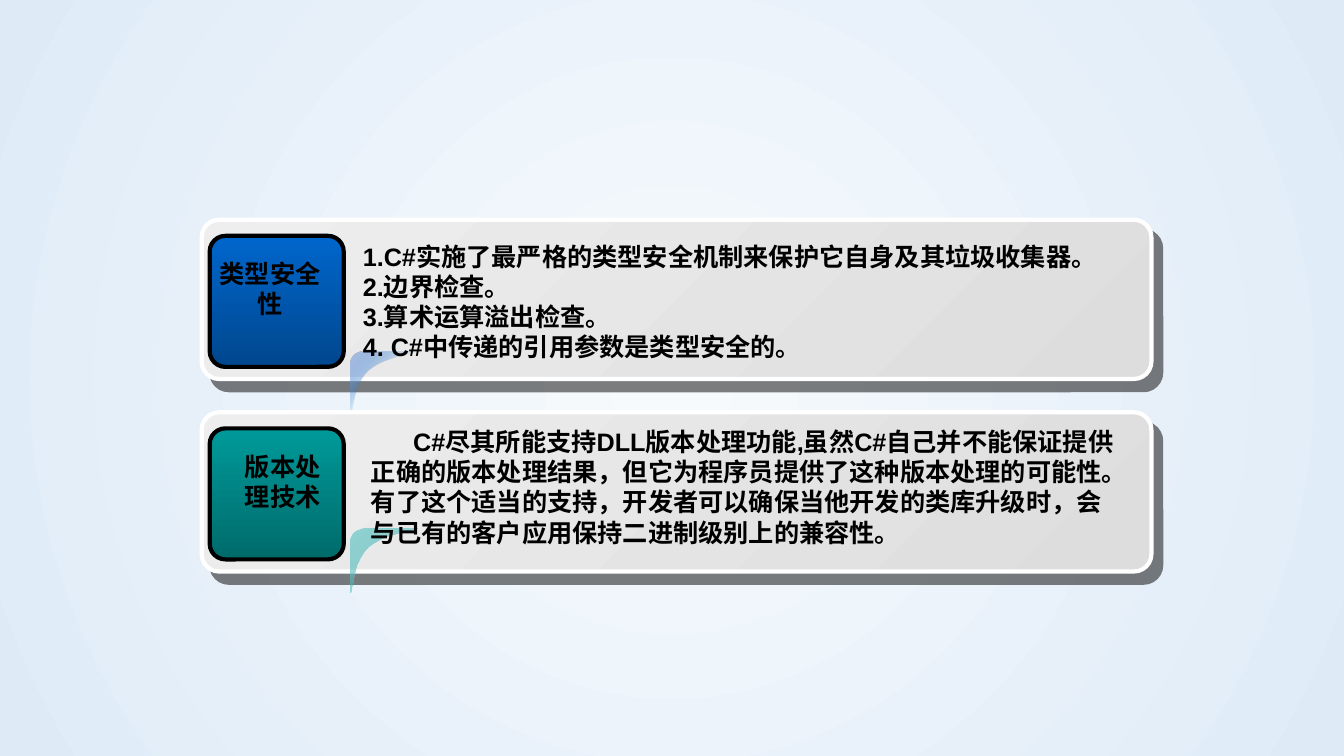
import pptx
import pptx.dml.color
import pptx.enum.shapes
import pptx.enum.text
import pptx.oxml
import pptx.oxml.ns
import pptx.util

PX = 9144
COLORS = {
    "black": "000000", "white": "FFFFFF",
    "sky_light": "F7FAFD", "sky": "DEEBF7",
    "panel_light": "EEEEEE", "panel_dark": "DDDDDD",
    "blue": "0066CC", "blue_dark": "00478E", "blue_pale": "B5C0E5",
    "teal": "009999", "teal_dark": "006B6B", "teal_pale": "93D4D4",
}
FLOURISH_START = (14, 0)
FLOURISH_CURVES = [
    ((6, 0), (0, 5), (0, 13)),
    ((0, 30), (0, 47), (0, 64)),
    ((3, 65), (2, 33), (18, 19)),
    ((35, 4), (67, 3), (66, 0)),
]
SAFETY_POINTS = [
    "1.C#实施了最严格的类型安全机制来保护它自身及其垃圾收集器。",
    "2.边界检查。",
    "3.算术运算溢出检查。",
    "4. C#中传递的引用参数是类型安全的。",
]
VERSION_POINTS = [
    "C#尽其所能支持DLL版本处理功能,虽然C#自己并不能保证提供正确的版本处理结果，"
    "但它为程序员提供了这种版本处理的可能性。有了这个适当的支持，开发者可以确保"
    "当他开发的类库升级时，会与已有的客户应用保持二进制级别上的兼容性。",
]


def px(length):
    """Convert a length in px to EMU."""
    return pptx.util.Emu(round(length * PX))


def parse_drawing(tag, content):
    """Build a DrawingML element from its tag and inner XML."""
    namespace = pptx.oxml.ns.nsdecls("a")
    return pptx.oxml.parse_xml(f"<a:{tag} {namespace}>{content}</a:{tag}>")


def apply_gradient(owner, fill, stops, angle=None):
    """Fill with (position, colour, alpha) stops, radially if no angle is given."""
    fill.gradient()
    gradient = next(owner.element.iter(pptx.oxml.ns.qn("a:gradFill")))
    for child in list(gradient):
        gradient.remove(child)
    stop_xml = "".join(
        f'<a:gs pos="{position * 1000}"><a:srgbClr val="{COLORS[color]}">'
        f'<a:alpha val="{alpha * 1000}"/></a:srgbClr></a:gs>'
        for position, color, alpha in stops
    )
    gradient.append(parse_drawing("gsLst", stop_xml))
    if angle is None:
        center = '<a:fillToRect l="50000" t="50000" r="50000" b="50000"/>'
        direction = parse_drawing("path", center)
        direction.set("path", "circle")
    else:
        direction = parse_drawing("lin", "")
        direction.set("ang", str(angle * 60000))
        direction.set("scaled", "0")
    gradient.append(direction)


def add_card(slide, box, corner, stops, angle, border):
    """Add a rounded rectangle with a gradient and a thick border."""
    card = slide.shapes.add_shape(
        pptx.enum.shapes.MSO_SHAPE.ROUNDED_RECTANGLE, *map(px, box)
    )
    card.adjustments[0] = corner
    card.shadow.inherit = False
    apply_gradient(card, card.fill, stops, angle)
    card.line.color.rgb = pptx.dml.color.RGBColor.from_string(COLORS[border])
    card.line.width = pptx.util.Pt(3)
    return card


def add_panel(slide, top):
    """Add a wide grey panel with a hard drop shadow."""
    stops = [(0, "panel_light", 100), (100, "panel_dark", 100)]
    panel = add_card(slide, (200, top, 942, 158), 0.11, stops, 45, "white")
    effects = next(panel.element.iter(pptx.oxml.ns.qn("a:effectLst")))
    shadow = parse_drawing(
        "outerShdw",
        f'<a:srgbClr val="{COLORS["black"]}"><a:alpha val="50000"/></a:srgbClr>',
    )
    shadow.set("dist", str(pptx.util.Pt(10.6)))
    shadow.set("dir", str(49 * 60000))
    shadow.set("algn", "ctr")
    shadow.set("rotWithShape", "0")
    effects.append(shadow)


def curve_points(start, first, second, end, steps=12):
    """Return points along a cubic curve, without its start."""
    points = []
    for step in range(1, steps + 1):
        t = step / steps
        weights = ((1 - t) ** 3, 3 * t * (1 - t) ** 2, 3 * t * t * (1 - t), t ** 3)
        corners = (start, first, second, end)
        points.append(tuple(
            sum(weight * corner[axis] for weight, corner in zip(weights, corners))
            for axis in (0, 1)
        ))
    return points


def add_flourish(slide, left, top, stops):
    """Add the curved corner highlight."""
    outline = [FLOURISH_START]
    for curve in FLOURISH_CURVES:
        outline += curve_points(outline[-1], *curve)
    vertices = [(px(left + x), px(top + y)) for x, y in outline]
    builder = slide.shapes.build_freeform(*vertices[0])
    builder.add_line_segments(vertices[1:], close=True)
    flourish = builder.convert_to_shape()
    flourish.shadow.inherit = False
    flourish.line.fill.background()
    apply_gradient(flourish, flourish.fill, stops, 45)


def add_text(slide, box, lines, size=18, color="black", centered=False, indent=0):
    """Add a bold text box with one paragraph per line."""
    frame = slide.shapes.add_textbox(*map(px, box)).text_frame
    frame.word_wrap = True
    frame.auto_size = pptx.enum.text.MSO_AUTO_SIZE.SHAPE_TO_FIT_TEXT
    for index, line in enumerate(lines):
        paragraph = frame.paragraphs[0] if index == 0 else frame.add_paragraph()
        if centered:
            paragraph.alignment = pptx.enum.text.PP_ALIGN.CENTER
        if indent:
            paragraph._p.get_or_add_pPr().set("indent", str(px(indent)))
        run = paragraph.add_run()
        run.text = line
        run.font.name = "Arial"
        run.font.size = pptx.util.Pt(size)
        run.font.bold = True
        run.font.color.rgb = pptx.dml.color.RGBColor.from_string(COLORS[color])


def add_topic(slide, top, hue, flourish_top, flourish_stops):
    """Add the panel, coloured tile and highlight of one topic."""
    add_panel(slide, top)
    tile_stops = [(0, hue, 100), (100, f"{hue}_dark", 100)]
    add_card(slide, (208, top + 16, 133, 130), 0.12, tile_stops, 90, "black")
    add_flourish(slide, 348, flourish_top, flourish_stops)


def main():
    """Build and save the slide."""
    deck = pptx.Presentation()
    deck.slide_width, deck.slide_height = px(1333), px(750)
    slide = deck.slides.add_slide(deck.slide_layouts[6])
    sky = [(0, "sky_light", 100), (100, "sky", 100)]
    apply_gradient(slide, slide.background.fill, sky)

    blue_fade = [(0, "blue_pale", 100), (50, "blue", 0), (100, "blue_pale", 100)]
    add_topic(slide, 218, "blue", 349, blue_fade)
    add_text(slide, (200, 251, 136, 71), ["类型安全性"], centered=True)
    add_text(slide, (350, 234, 783, 160), SAFETY_POINTS)

    teal_fade = [(0, "teal_pale", 100), (100, "teal", 0)]
    add_topic(slide, 409, "teal", 524, teal_fade)
    add_text(slide, (192, 443, 177, 71), ["版本处", "理技术"], centered=True)
    add_text(slide, (358, 418, 767, 130), VERSION_POINTS, indent=42)

    deck.save("out.pptx")


if __name__ == "__main__":
    main()
